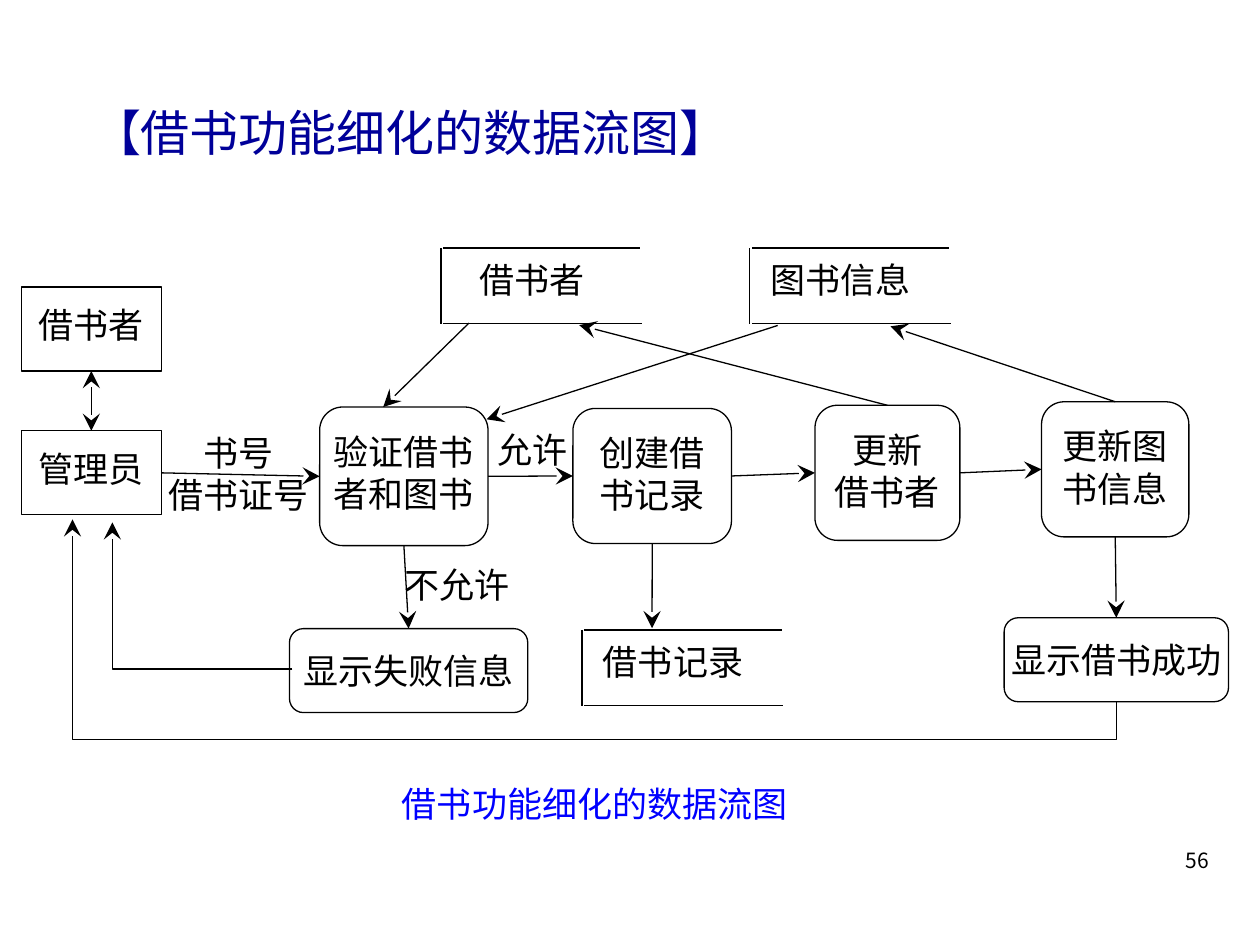
import dataclasses

import pptx
import pptx.dml.color
import pptx.enum.shapes
import pptx.enum.text
import pptx.oxml.ns
import pptx.util
from lxml import etree

Pt = pptx.util.Pt
SHAPES = pptx.enum.shapes.MSO_SHAPE
ALIGN = pptx.enum.text.PP_ALIGN
TOP, LEFT, BOTTOM, RIGHT = range(4)


@dataclasses.dataclass(frozen=True)
class Theme:
    font: str = "Noto Sans CJK SC"
    ink: str = "000000"
    paper: str = "FFFFFF"
    title: str = "000099"
    caption: str = "0000FF"
    title_size: float = 28
    body_size: float = 20
    number_size: float = 12
    line_width: float = 0.75
    leading: float = 1.2


THEME = Theme()


def rgb(value):
    return pptx.dml.color.RGBColor.from_string(value)


def apply(target, values):
    for name, value in values.items():
        setattr(target, name, value)


def write(shape, text, color=THEME.ink, size=THEME.body_size,
          align=ALIGN.CENTER, insets=(0, 9.5, 0, 0), wrap=True):
    """Write one paragraph per line of text."""
    left, top, right, bottom = insets
    frame = shape.text_frame
    apply(frame, {
        "margin_left": Pt(left), "margin_top": Pt(top),
        "margin_right": Pt(right), "margin_bottom": Pt(bottom),
        "word_wrap": wrap,
        "auto_size": pptx.enum.text.MSO_AUTO_SIZE.NONE,
        "vertical_anchor": pptx.enum.text.MSO_ANCHOR.TOP,
    })
    for index, line in enumerate(text.split("\n")):
        para = frame.add_paragraph() if index else frame.paragraphs[0]
        apply(para, {"alignment": align, "space_before": Pt(0),
                     "line_spacing": Pt(size * THEME.leading)})
        span = para.add_run()
        span.text = line
        apply(span.font, {"name": THEME.font, "size": Pt(size), "bold": False})
        span.font.color.rgb = rgb(color)
        east_asian = etree.SubElement(span.font._element, pptx.oxml.ns.qn("a:ea"))
        east_asian.set("typeface", THEME.font)


def style_line(shape, heads=()):
    """Draw a thin line; heads names the ends that carry an arrowhead."""
    shape.line.color.rgb = rgb(THEME.ink)
    shape.line.width = Pt(THEME.line_width)
    outline = shape.line._get_or_add_ln()
    for end in heads:
        head = etree.SubElement(outline, pptx.oxml.ns.qn("a:" + end))
        for name, value in {"type": "stealth", "w": "lg", "len": "lg"}.items():
            head.set(name, value)


def add_node(page, kind, text, place):
    node = page.shapes.add_shape(kind, *map(Pt, place))
    node.shadow.inherit = False
    node.fill.solid()
    node.fill.fore_color.rgb = rgb(THEME.paper)
    style_line(node)
    write(node, text)
    return node


def add_label(page, text, place, **options):
    box = page.shapes.add_textbox(*map(Pt, place))
    write(box, text, **options)


def add_line(page, start, end, heads=()):
    """Each end is a point or a (node, side) pair to join."""
    ends = (start, end)
    points = [(0, 0) if hasattr(item[0], "text_frame") else item for item in ends]
    line = page.shapes.add_connector(
        pptx.enum.shapes.MSO_CONNECTOR.STRAIGHT,
        *(Pt(value) for point in points for value in point))
    for item, connect in zip(ends, (line.begin_connect, line.end_connect)):
        if hasattr(item[0], "text_frame"):
            connect(*item)
    style_line(line, heads)
    etree.SubElement(line._element.spPr, pptx.oxml.ns.qn("a:effectLst"))


def add_return(page, points):
    """Bent arrow through the points."""
    corners = [(Pt(x), Pt(y)) for x, y in points]
    builder = page.shapes.build_freeform(*corners[0])
    builder.add_line_segments(corners[1:], close=False)
    arrow = builder.convert_to_shape()
    arrow.shadow.inherit = False
    arrow.fill.background()
    style_line(arrow, ["tailEnd"])


def add_store(page, text, x, y):
    """Data store: label between two rules, closed on the left."""
    add_label(page, text, (x + 4, y - 3.6, 96, 48))
    bottom = y + 43.2
    add_line(page, (x + 1.4, y), (x + 114, y))
    add_line(page, (x + 1.4, bottom), (x + 115, bottom))
    add_line(page, (x, y), (x, bottom))


def main():
    deck = pptx.Presentation()
    apply(deck, {"slide_width": Pt(720), "slide_height": Pt(540)})
    page = deck.slides.add_slide(deck.slide_layouts[5])

    # Title
    title = page.shapes.title
    apply(title, {"left": Pt(45.4), "top": Pt(55), "width": Pt(640), "height": Pt(44)})
    write(title, "【借书功能细化的数据流图】", THEME.title, THEME.title_size,
          ALIGN.LEFT, (7.2, 3.6, 7.2, 3.6))

    # External entities
    borrower, manager = (
        add_node(page, SHAPES.RECTANGLE, text, (12.2, y, 80, 48))
        for text, y in (("借书者", 164), ("管理员", 246.2)))

    # Processes
    processes = (
        ("验证借书\n者和图书", (182.7, 232.6, 96.2, 79.2)),
        ("创建借\n书记录", (327.4, 233.4, 90.6, 77.2)),
        ("更新\n借书者", (465.7, 231.6, 82.8, 77.2)),
        ("更新图\n书信息", (595.2, 229.6, 84.2, 77.2)),
        ("显示失败信息", (165.4, 359.2, 136.2, 48)),
        ("显示借书成功", (573.8, 353, 128.2, 48)),
    )
    verify, create, update_borrower, update_book, failure, success = (
        add_node(page, SHAPES.FLOWCHART_ALTERNATE_PROCESS, text, place)
        for text, place in processes)

    # Data stores
    for text, x, y in (("借书者", 252, 141.8), ("图书信息", 428.4, 141.8),
                       ("借书记录", 332.6, 360)):
        add_store(page, text, x, y)

    # Main flow
    row = (manager, verify, create, update_borrower, update_book)
    for source, target in zip(row, row[1:]):
        add_line(page, (source, RIGHT), (target, LEFT), ["tailEnd"])
    add_line(page, (borrower, BOTTOM), (manager, TOP), ["headEnd", "tailEnd"])

    # Results, store reads and store updates
    for start, end in (
            ((verify, BOTTOM), (failure, TOP)),
            ((create, BOTTOM), (372.6, 359)),
            ((update_book, BOTTOM), (success, TOP)),
            ((268, 184.6), (219, 232.6)),
            ((444.4, 186), (278, 239.6)),
            ((update_borrower, TOP), (331, 185.8)),
            ((update_book, TOP), (508.8, 186.5))):
        add_line(page, start, end, ["tailEnd"])

    # Returns to the manager
    add_return(page, [(167, 382.4), (64.2, 382.4), (64.2, 298.5)])
    add_return(page, [(638, 401), (638, 422.6), (41.4, 422.6), (41.4, 296.8)])

    # Flow labels, caption and page number
    add_label(page, "书号\n借书证号", (87.8, 236.9, 97.2, 75.6))
    add_label(page, "允许", (272.2, 235.4, 64, 48))
    add_label(page, "不允许", (231.1, 312.5, 80, 48), align=ALIGN.LEFT)
    add_label(page, "借书功能细化的数据流图", (92.2, 437.8, 495.4, 48),
              color=THEME.caption)
    add_label(page, "56", (670.3, 481, 29.5, 21.6), size=THEME.number_size,
              align=ALIGN.LEFT, insets=(7.2, 3.6, 7.2, 3.6), wrap=False)

    deck.save("out.pptx")


if __name__ == "__main__":
    main()
